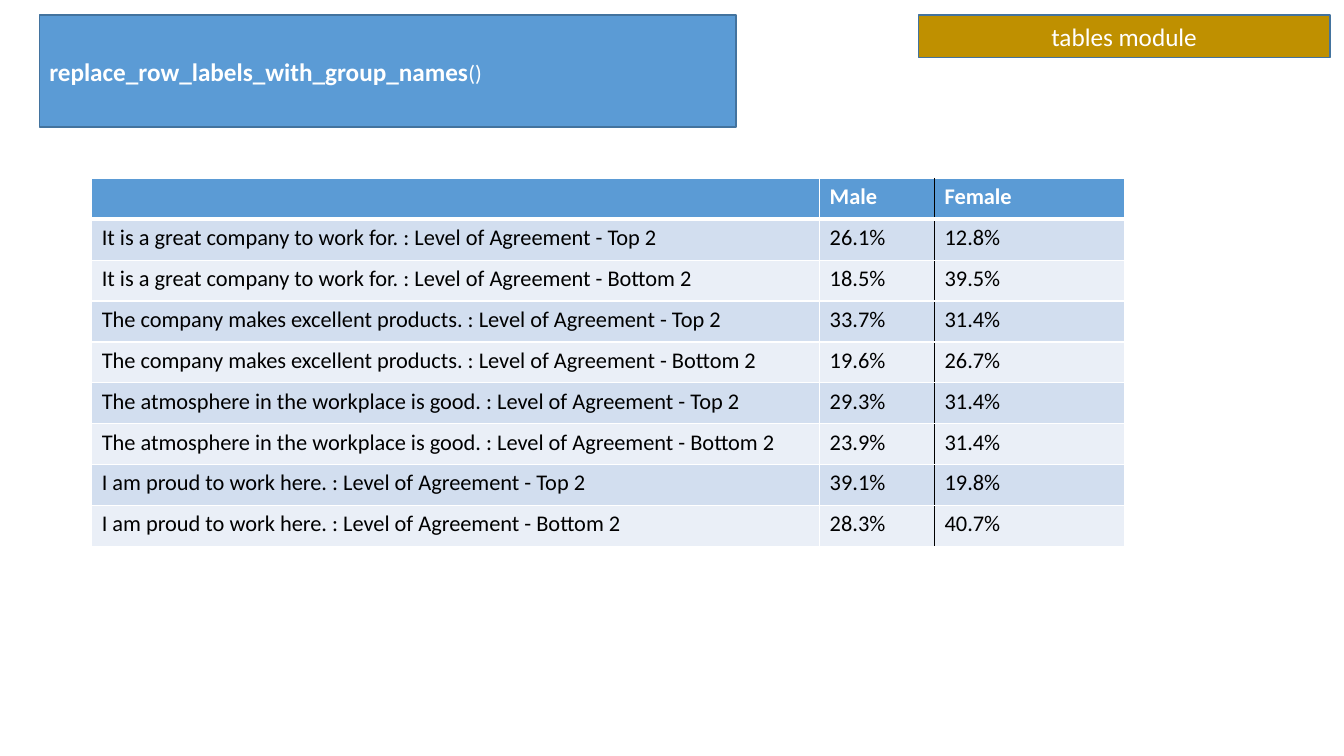
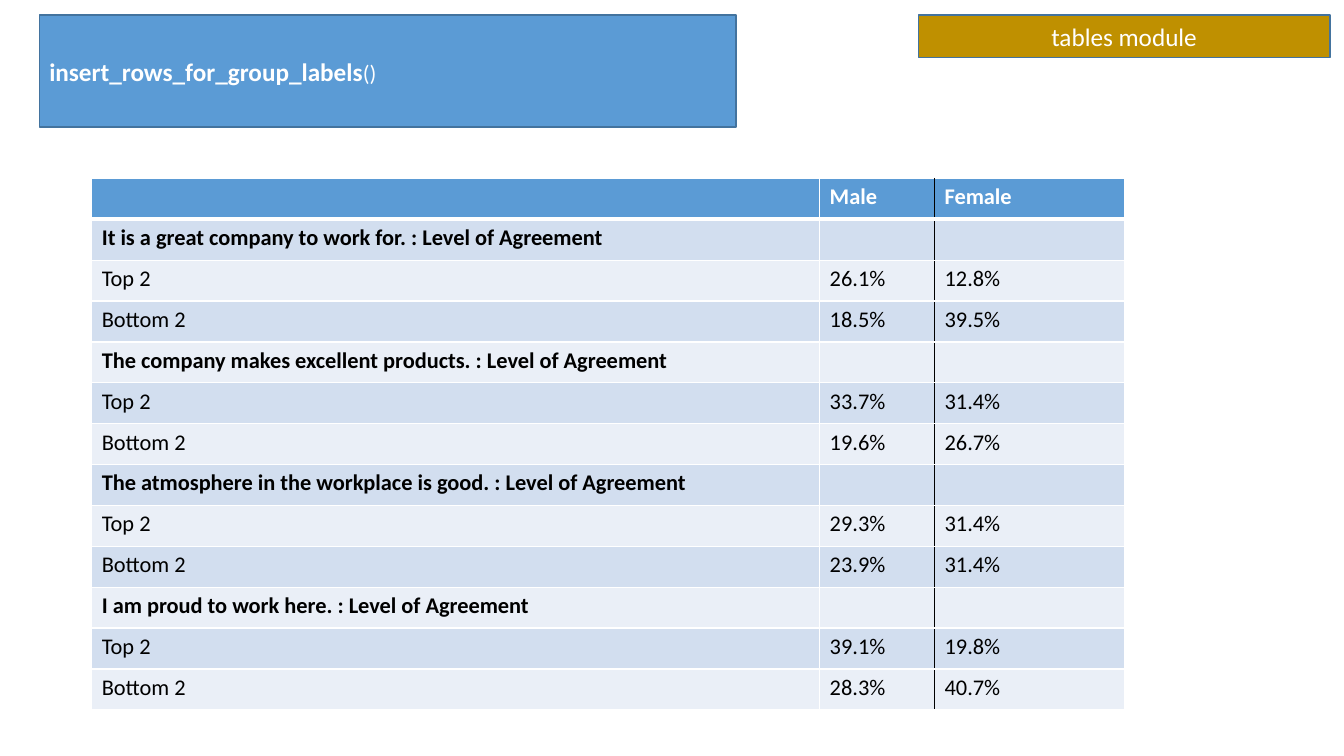
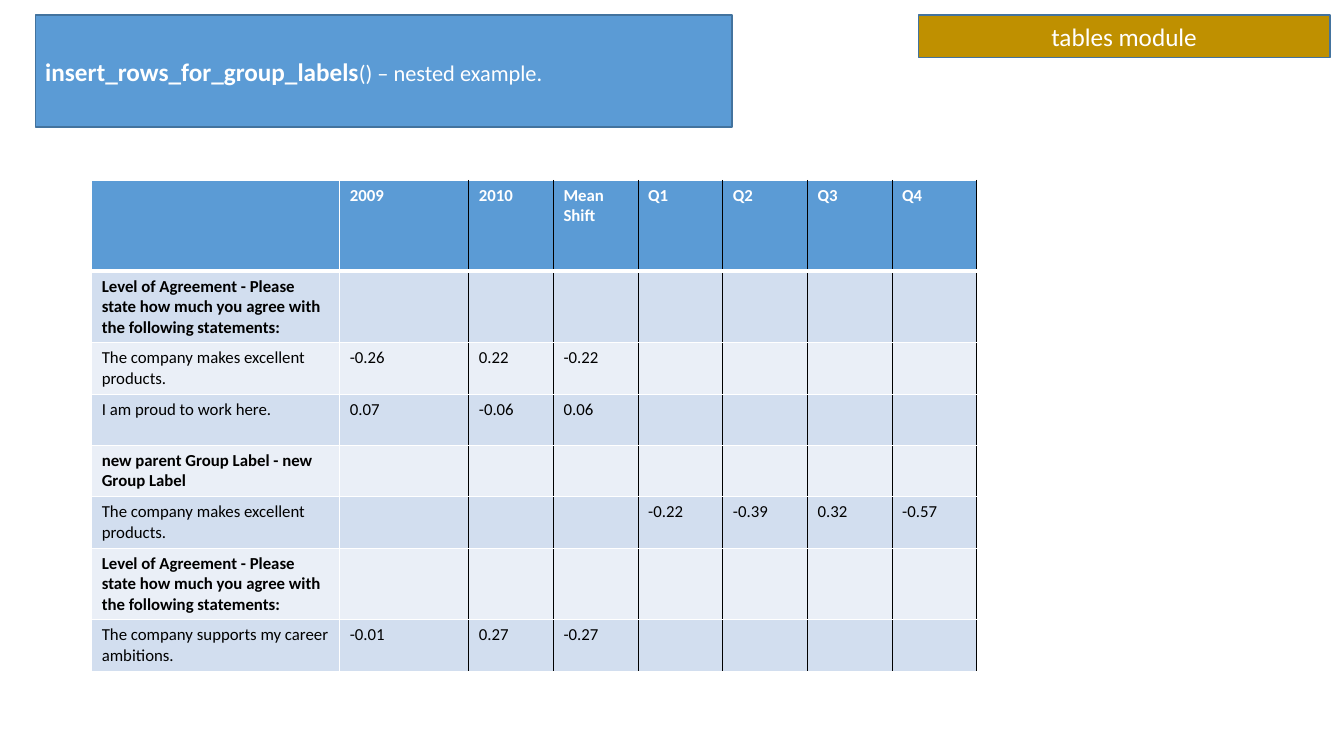
"""Build three slides that show survey tables with grouped row labels."""
from dataclasses import dataclass

from lxml import etree
from pptx import Presentation
from pptx.dml.color import RGBColor
from pptx.enum.shapes import MSO_SHAPE
from pptx.enum.text import MSO_ANCHOR, PP_ALIGN
from pptx.oxml.ns import qn
from pptx.util import Inches, Pt

RECTANGLE = MSO_SHAPE.RECTANGLE
MIDDLE = MSO_ANCHOR.MIDDLE
LEFT, CENTER = PP_ALIGN.LEFT, PP_ALIGN.CENTER


@dataclass(frozen=True)
class Theme:
    font: str = "Calibri"
    blue: str = "5B9BD5"
    gold: str = "BF9000"
    outline: str = "43739E"
    white: str = "FFFFFF"
    black: str = "000000"
    bands: tuple = ("EAEFF7", "D2DEEF")
    heading: int = 18
    body: int = 16
    small: int = 12
    rule: int = 1
    header_rule: int = 3


THEME = Theme()
SLIDE_SIZE = (13.33, 7.5)
TAG_AREA = (9.11, 0.15, 4.08, 0.42)
TITLE_TOP, TITLE_WIDTH, TITLE_HEIGHT = 0.15, 6.91, 1.11
TABLE_LEFT = 0.91
ROW_HEIGHT = 3.65 / 9
TAG = "tables module"

SCALE = "Level of Agreement"
BOXES = ("Top 2", "Bottom 2")
GENDER_HEADER = ("", "Male", "Female")
STATEMENTS = {
    "It is a great company to work for.": (("26.1%", "12.8%"), ("18.5%", "39.5%")),
    "The company makes excellent products.": (("33.7%", "31.4%"), ("19.6%", "26.7%")),
    "The atmosphere in the workplace is good.": (("29.3%", "31.4%"), ("23.9%", "31.4%")),
    "I am proud to work here.": (("39.1%", "19.8%"), ("28.3%", "40.7%")),
}
AGREEMENT = "Level of Agreement - Please state how much you agree with the following statements:"
BLANKS = ("",) * 3
NESTED_ROWS = [
    ("", "2009", "2010", "Mean Shift", "Q1", "Q2", "Q3", "Q4"),
    (AGREEMENT,),
    ("The company makes excellent products.", "-0.26", "0.22", "-0.22"),
    ("I am proud to work here.", "0.07", "-0.06", "0.06"),
    ("new parent Group Label - new Group Label",),
    ("The company makes excellent products.", *BLANKS, "-0.22", "-0.39", "0.32", "-0.57"),
    (AGREEMENT,),
    ("The company supports my career ambitions.", "-0.01", "0.27", "-0.27"),
]


def labelled_rows():
    rows = [GENDER_HEADER]
    for statement, results in STATEMENTS.items():
        rows += [(f"{statement} : {SCALE} - {box}", *values) for box, values in zip(BOXES, results)]
    return rows


def grouped_rows():
    rows = [GENDER_HEADER]
    for statement, results in STATEMENTS.items():
        rows.append((f"{statement} : {SCALE}",))
        rows += [(box, *values) for box, values in zip(BOXES, results)]
    return rows


def gender_table(rows):
    return dict(rows=rows, top=1.77, widths=(7.22, 1.14, 1.88), size=THEME.body,
                heights=[ROW_HEIGHT] * len(rows), black_edges={2})


def nested_table():
    heights = [0.71 if row[0] == AGREEMENT else 0.51 for row in NESTED_ROWS]
    heights[0] = 0.9
    return dict(rows=NESTED_ROWS, top=1.79, widths=(2.46, 1.28) + (0.84,) * 6,
                size=THEME.small, heights=heights, black_edges=set(range(2, 9)))


SLIDES = [
    (0.39, "replace_row_labels_with_group_names", "()", gender_table(labelled_rows())),
    (0.39, "insert_rows_for_group_labels", "()", gender_table(grouped_rows())),
    (0.35, "insert_rows_for_group_labels", "() – nested example.", nested_table()),
]


def style_span(span, size, color, bold=False):
    span.font.name = THEME.font
    span.font.size = Pt(size)
    span.font.bold = bold
    span.font.color.rgb = RGBColor.from_string(color)


def add_box(page, area, fill, spans, align):
    box = page.shapes.add_shape(RECTANGLE, *map(Inches, area))
    box.shadow.inherit = False
    box.fill.solid()
    box.fill.fore_color.rgb = RGBColor.from_string(fill)
    box.line.color.rgb = RGBColor.from_string(THEME.outline)
    box.line.width = Pt(THEME.rule)
    box.text_frame.word_wrap = True
    box.text_frame.vertical_anchor = MIDDLE
    para = box.text_frame.paragraphs[0]
    para.alignment = align
    for text, size, bold in spans:
        span = para.add_run()
        span.text = text
        style_span(span, size, THEME.white, bold)


def add_border(cell, side, color, width):
    properties = cell._tc.get_or_add_tcPr()
    line = etree.SubElement(properties, qn(f"a:ln{side}"), w=str(Pt(width)))
    fill = etree.SubElement(line, qn("a:solidFill"))
    etree.SubElement(fill, qn("a:srgbClr"), val=color)


def style_cell(cell, row, column, size, bold, black_edges):
    for side, edge in (("L", column), ("R", column + 1)):
        add_border(cell, side, THEME.black if edge in black_edges else THEME.white, THEME.rule)
    for side, edge in (("T", row), ("B", row + 1)):
        add_border(cell, side, THEME.white, THEME.header_rule if edge == 1 else THEME.rule)
    cell.fill.solid()
    fill = THEME.bands[row % 2] if row else THEME.blue
    cell.fill.fore_color.rgb = RGBColor.from_string(fill)
    for span in cell.text_frame.paragraphs[0].runs:
        style_span(span, size, THEME.black if row else THEME.white, bold)


def add_grid(page, rows, top, widths, size, heights, black_edges):
    area = (TABLE_LEFT, top, sum(widths), sum(heights))
    table = page.shapes.add_table(len(rows), len(widths), *map(Inches, area)).table
    for column, width in zip(table.columns, widths):
        column.width = Inches(width)
    for index, (values, height) in enumerate(zip(rows, heights)):
        table.rows[index].height = Inches(height)
        bold = index == 0 or len(values) == 1
        for column in range(len(widths)):
            cell = table.cell(index, column)
            if column < len(values) and values[column]:
                cell.text_frame.text = values[column]
            style_cell(cell, index, column, size, bold, black_edges)


def main():
    deck = Presentation()
    deck.slide_width, deck.slide_height = map(Inches, SLIDE_SIZE)
    for left, function, suffix, grid in SLIDES:
        page = deck.slides.add_slide(deck.slide_layouts[6])
        add_box(page, TAG_AREA, THEME.gold, [(TAG, THEME.heading, False)], CENTER)
        add_grid(page, **grid)
        title = [(function, THEME.heading, True), (suffix, THEME.body, False)]
        add_box(page, (left, TITLE_TOP, TITLE_WIDTH, TITLE_HEIGHT), THEME.blue, title, LEFT)
    deck.save("out.pptx")


if __name__ == "__main__":
    main()
